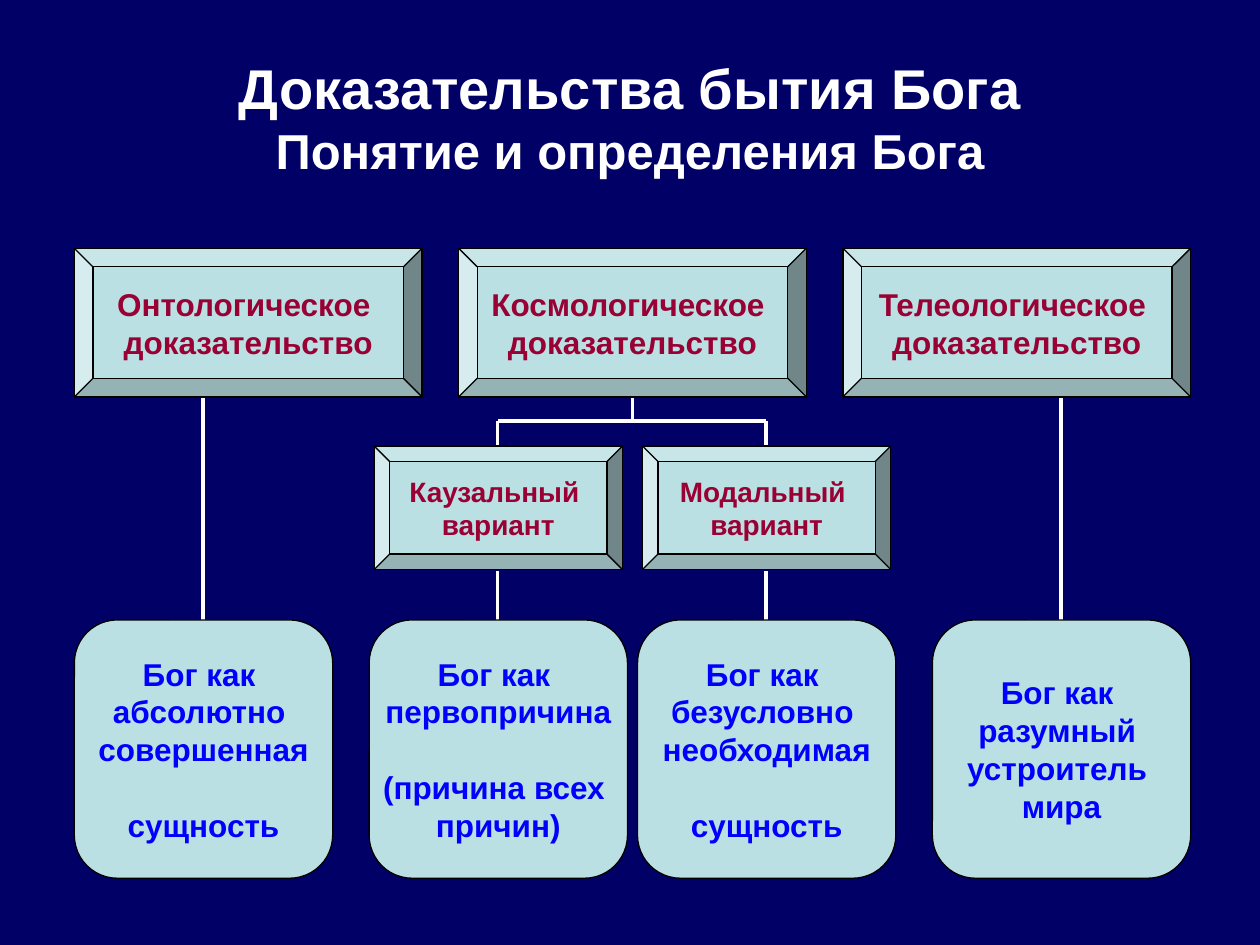
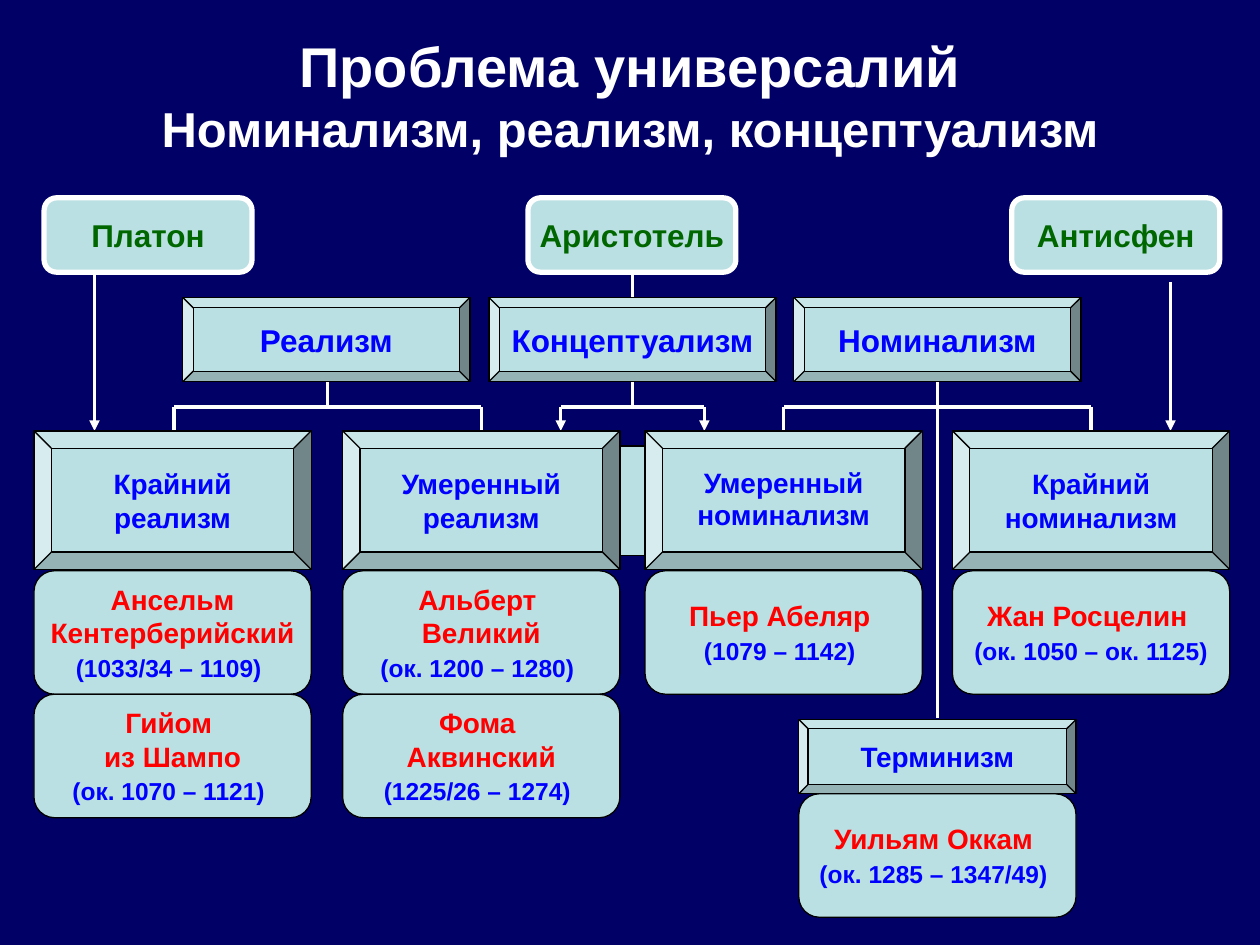
from copy import deepcopy
from dataclasses import dataclass

from lxml import etree
from pptx import Presentation
from pptx import util as u
from pptx.dml.color import RGBColor
from pptx.enum import shapes, text
from pptx.oxml.ns import qn

SCALE = 9144
BEVEL = shapes.MSO_SHAPE.BEVEL
ROUNDED = shapes.MSO_SHAPE.ROUNDED_RECTANGLE


def px(length):
    """Turn px into EMU, at 100 px to the inch."""
    return u.Emu(length * SCALE)


def assign(target, values):
    """Set every attribute of the target named in a dict."""
    for name, value in values.items():
        setattr(target, name, value)


@dataclass(frozen=True)
class Theme:
    """Colours, type sizes and line widths of the slides."""

    font: str = "Arial"
    navy: str = "000066"
    white: str = "FFFFFF"
    black: str = "000000"
    ice: str = "BBE0E3"
    crimson: str = "990033"
    blue: str = "0000FF"
    red: str = "FF0000"
    green: str = "006600"
    heading: int = 32
    subheading: int = 28
    large: int = 18
    medium: int = 16
    small: int = 14
    thin: float = 0.75
    link: float = 2
    thick: float = 3


class Diagram:
    """Draws titles, boxes and links on the current slide."""

    def __init__(self, theme):
        """Start a presentation of the right size."""
        self.theme = theme
        self.deck = Presentation()
        assign(self.deck, {"slide_width": px(1000), "slide_height": px(750)})
        self.slide = None

    def new_slide(self, heading, subheading, top, height):
        """Add a slide with its background and two-line title."""
        theme = self.theme
        self.slide = self.deck.slides.add_slide(self.deck.slide_layouts[5])
        background = self.slide.background.fill
        background.solid()
        background.fore_color.rgb = RGBColor.from_string(theme.navy)
        title = self.slide.shapes.title
        assign(title, {"left": px(50), "top": px(top), "width": px(900), "height": px(height)})
        self.letter(title.text_frame, [(heading + "\n", theme.heading, theme.white),
                                       (subheading, theme.subheading, theme.white)])

    def letter(self, frame, pieces, wrap=True, inset=10, spacing=None):
        """Fill a frame with (words, size, colour) pieces in one centred paragraph."""
        assign(frame, {"auto_size": text.MSO_AUTO_SIZE.NONE, "word_wrap": wrap,
                       "vertical_anchor": text.MSO_ANCHOR.MIDDLE,
                       "margin_left": px(inset), "margin_right": px(inset),
                       "margin_top": px(5), "margin_bottom": px(5)})
        paragraph = frame.paragraphs[0]
        assign(paragraph, {"alignment": text.PP_ALIGN.CENTER, "line_spacing": spacing})
        for words, size, colour in pieces:
            for line in words.splitlines(keepends=True):
                run = paragraph.add_run()
                run.text = line.rstrip("\n")
                assign(run.font, {"name": self.theme.font, "size": u.Pt(size), "bold": True})
                run.font.color.rgb = RGBColor.from_string(colour)
                if line.endswith("\n"):
                    paragraph.add_line_break()
                    paragraph._p[-1].append(deepcopy(run._r.get_or_add_rPr()))

    def box(self, kind, place, pieces=(), outline=None, weight=None, **layout):
        """Add a filled preset shape with centred words."""
        shape = self.slide.shapes.add_shape(kind, *map(px, place))
        shape.shadow.inherit = False
        shape.fill.solid()
        shape.fill.fore_color.rgb = RGBColor.from_string(self.theme.ice)
        shape.line.color.rgb = RGBColor.from_string(outline or self.theme.black)
        shape.line.width = u.Pt(weight or self.theme.thin)
        if pieces:
            self.letter(shape.text_frame, pieces, **layout)

    def thinker(self, left, top, name, years, inset=10):
        """Add a rounded box with a name above its years."""
        theme = self.theme
        self.box(ROUNDED, (left, top, 220, 98),
                 [(name + "\n", theme.medium, theme.red), (years, theme.small, theme.blue),
                  (" ", theme.medium, theme.blue)], inset=inset)

    def link(self, x1, y1, x2, y2, arrow=False):
        """Add a straight line, with an arrowhead at its end if asked."""
        connector = self.slide.shapes.add_connector(
            shapes.MSO_CONNECTOR.STRAIGHT, *map(px, (x1, y1, x2, y2)))
        connector.line.color.rgb = RGBColor.from_string(self.theme.white)
        connector.line.width = u.Pt(self.theme.link)
        properties = connector._element.spPr
        if arrow:
            etree.SubElement(properties.find(qn("a:ln")), qn("a:tailEnd"), type="triangle")
        etree.SubElement(properties, qn("a:effectLst"))

    def fork(self, stem, top, bar, bottom, ends, arrow=False):
        """Link a stem to the ends below it through a bar."""
        self.link(stem, top, stem, bar)
        for end in ends:
            self.link(stem, bar, end, bar)
            self.link(end, bar, end, bottom, arrow)


def draw_proofs(diagram):
    """Draw the proofs and the definitions they lead to."""
    theme = diagram.theme
    diagram.new_slide("Доказательства бытия Бога", "Понятие и определения Бога", 30, 125)
    diagram.fork(502, 315, 334, 354, (395, 608))
    for x, top in ((161, 315), (395, 453), (608, 453), (842, 315)):
        diagram.link(x, top, x, 492)
    for column, proof in enumerate(("Онтологическое", "Космологическое", "Телеологическое")):
        diagram.box(BEVEL, (59 + 305 * column, 197, 276, 118),
                    [(proof + " \nдоказательство", theme.large, theme.crimson)])
    for left, variant in ((297, "Каузальный"), (510, "Модальный")):
        diagram.box(BEVEL, (left, 354, 197, 98),
                    [(variant + " \nвариант", theme.medium, theme.crimson)])
    definitions = (
        (59, 8, "абсолютно \nсовершенная \nсущность"),
        (293, 0, "первопричина \n(причина всех \nпричин)"),
        (506, 8, "безусловно \nнеобходимая \nсущность"),
        (740, 10, "разумный \nустроитель \nмира"),
    )
    for left, inset, definition in definitions:
        diagram.box(ROUNDED, (left, 492, 205, 205),
                    [("Бог как \n" + definition, theme.large, theme.blue)], inset=inset)


def draw_universals(diagram):
    """Draw the schools on universals and their thinkers."""
    theme = diagram.theme
    diagram.new_slide("Проблема универсалий", "Номинализм, реализм, концептуализм", 26, 98)
    diagram.fork(260, 303, 323, 342, (138, 382))
    diagram.fork(744, 303, 323, 342, (622, 866))
    diagram.fork(502, 216, 323, 342, (445, 559), arrow=True)
    diagram.link(744, 323, 744, 570)
    diagram.link(75, 216, 75, 342, arrow=True)
    diagram.link(929, 224, 929, 342, arrow=True)
    for column, ancient in enumerate(("Платон", "Аристотель", "Антисфен")):
        diagram.box(ROUNDED, (35 + 384 * column, 157, 165, 59),
                    [(ancient, theme.large, theme.green)],
                    theme.white, theme.thick, wrap=False)
    for left, school in ((145, "Реализм"), (388, "Концептуализм"), (630, "Номинализм")):
        diagram.box(BEVEL, (left, 236, 228, 67),
                    [(school, theme.large, theme.blue)], wrap=False)
    branches = (
        (27, "Крайний реализм", None),
        (272, "Умеренный реализм", None),
        (512, "Умеренный номинализм", 0.95),
        (756, "Крайний номинализм", None),
    )
    for left, branch, spacing in branches:
        diagram.box(BEVEL, (left, 342, 220, 110),
                    [(branch, theme.medium, theme.blue)], spacing=spacing)
    diagram.box(BEVEL, (634, 571, 220, 59),
                [("Терминизм", theme.medium, theme.blue)], wrap=False)
    diagram.thinker(27, 453, "Ансельм Кентерберийский", "(1033/34 – 1109)", inset=8)
    thinkers = (
        (27, 551, "Гийом \nиз Шампо", "(ок. 1070 – 1121)"),
        (272, 453, "Альберт \nВеликий", "(ок. 1200 – 1280)"),
        (272, 551, "Фома \nАквинский", "(1225/26 – 1274)"),
        (512, 453, "Пьер Абеляр ", "(1079 – 1142)"),
        (756, 453, "Жан Росцелин ", "(ок. 1050 – ок. 1125)"),
        (634, 630, "Уильям Оккам ", "(ок. 1285 – 1347/49)"),
    )
    for thinker in thinkers:
        diagram.thinker(*thinker)
    diagram.box(shapes.MSO_SHAPE.RECTANGLE, (492, 354, 20, 87))


def main():
    """Build and save the slides."""
    diagram = Diagram(Theme())
    draw_proofs(diagram)
    draw_universals(diagram)
    diagram.deck.save("out.pptx")


if __name__ == "__main__":
    main()
